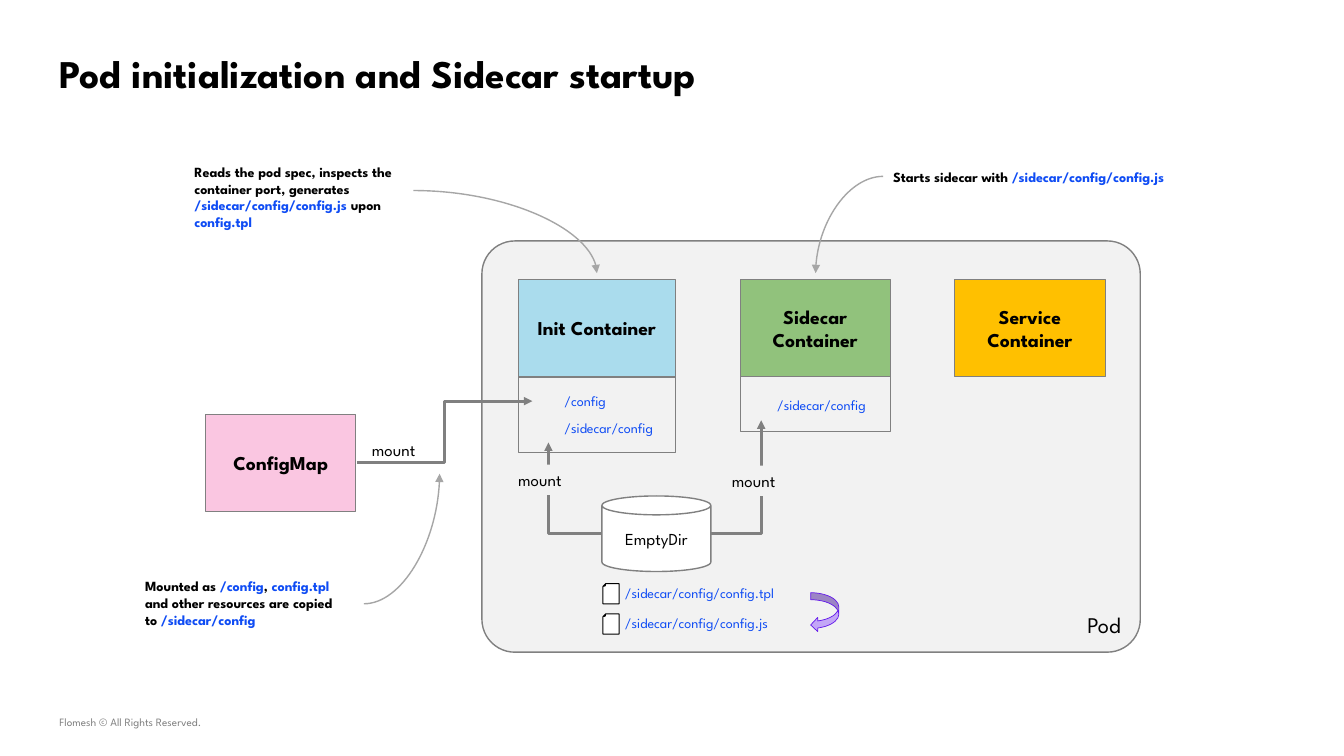
import pptx
import pptx.util
import pptx.dml.color
import pptx.enum.shapes
import pptx.enum.text
import pptx.oxml
import pptx.oxml.ns

RGBColor = pptx.dml.color.RGBColor
PRESET = pptx.enum.shapes.MSO_SHAPE
ELBOW = pptx.enum.shapes.MSO_CONNECTOR.ELBOW
CURVE = pptx.enum.shapes.MSO_CONNECTOR.CURVE
ALIGN = pptx.enum.text.PP_ALIGN
ANCHOR = pptx.enum.text.MSO_ANCHOR
Inches = pptx.util.Inches

FONT = "League Spartan"
BLACK = RGBColor(0x00, 0x00, 0x00)
WHITE = RGBColor(0xFF, 0xFF, 0xFF)
GRAY = RGBColor(0x80, 0x80, 0x80)
SILVER = RGBColor(0xA6, 0xA6, 0xA6)
PANEL = RGBColor(0xF2, 0xF2, 0xF2)
BLUE = RGBColor(0x0F, 0x4C, 0xF4)
AMBER = RGBColor(0xFF, 0xC0, 0x00)
GREEN = RGBColor(0x91, 0xC2, 0x7C)
SKY = RGBColor(0xAA, 0xDC, 0xED)
PINK = RGBColor(0xFA, 0xC6, 0xE1)
LILAC = RGBColor(0xC3, 0xA6, 0xF7)
VIOLET = RGBColor(0x65, 0x1B, 0xEB)

SLIDE_W, SLIDE_H = 13.33, 7.5
MARGIN = 0.49
INIT_X, SIDECAR_X, SERVICE_X, CONFIGMAP_X = 5.14, 7.34, 9.47, 2.04
INIT_W, BOX_W, BOX_H = 1.56, 1.49, 0.97
BOX_Y, CONFIGMAP_Y = 2.77, 4.11
MOUNTS_Y = BOX_Y + BOX_H
LINE_H, MOUNT_H = 0.27, 0.3
STORE_X, STORE_Y, STORE_W, STORE_H = 5.97, 4.92, 1.08, 0.75
STORE_EXIT_Y = 5.29
FILE_Y, FILE_STEP = 5.75, 0.3

TITLE = "Pod initialization and Sidecar startup"
FOOTER = "Flomesh © All Rights Reserved."

CONTAINERS = [
    ("Service Container", SERVICE_X, BOX_Y, BOX_W, AMBER),
    ("Sidecar Container", SIDECAR_X, BOX_Y, BOX_W, GREEN),
    ("Init Container", INIT_X, BOX_Y, INIT_W, SKY),
    ("ConfigMap", CONFIGMAP_X, CONFIGMAP_Y, BOX_W, PINK),
]
MOUNT_PANELS = [(INIT_X, INIT_W, 0.75), (SIDECAR_X, BOX_W, 0.54)]
MOUNT_PATHS = [
    ("/config", 5.5, 3.84, 0.7),
    ("/sidecar/config", 5.5, 4.11, 1.26),
    ("/sidecar/config", 7.61, 3.88, 1.26),
]
FILES = [("/sidecar/config/config.tpl", 1.97), ("/sidecar/config/config.js", 1.88)]
CALLOUTS = [
    ((1.34, 5.68, 2.26, 0.61),
     [("Mounted as ", BLACK), ("/config", BLUE), (", ", BLACK), ("config.tpl ", BLUE),
      ("and other resources are copied to ", BLACK), ("/sidecar/config", BLUE)]),
    ((1.83, 1.57, 2.26, 0.77),
     [("Reads the pod spec, inspects the container port, generates ", BLACK),
      ("/sidecar/config/config.js ", BLUE), ("upon ", BLACK), ("config.tpl", BLUE)]),
    ((8.76, 1.62, 3.23, LINE_H),
     [("Starts sidecar with ", BLACK), ("/sidecar/config/config.js", BLUE)]),
]
MOUNT_ARROWS = [
    ((3.54, 4.59), (5.28, 3.98), "bentConnector3"),
    ((STORE_X, STORE_EXIT_Y), (5.44, 4.39), "bentConnector2"),
    ((STORE_X + STORE_W, STORE_EXIT_Y), (7.55, 4.17), "bentConnector2"),
]
CALLOUT_ARROWS = [
    ((3.61, 5.99), (4.36, 4.7)),
    ((4.1, 1.89), (5.92, 2.71)),
    ((8.76, 1.75), (8.09, 2.71)),
]
MOUNT_LABELS = [(3.59, 4.31, 0.73, None), (5.04, 4.61, 0.73, PANEL), (7.16, 4.62, 0.75, PANEL)]

deck = pptx.Presentation()
deck.slide_width, deck.slide_height = Inches(SLIDE_W), Inches(SLIDE_H)
slide = deck.slides.add_slide(deck.slide_layouts[6])


def write(holder, pieces, size, bold=False, align=ALIGN.LEFT, anchor=ANCHOR.TOP, wrap=True):
    frame = holder.text_frame
    frame.word_wrap = wrap
    frame.vertical_anchor = anchor
    paragraph = frame.paragraphs[0]
    paragraph.alignment = align
    for words, color in pieces:
        run = paragraph.add_run()
        run.text = words
        run.font.name = FONT
        run.font.size = pptx.util.Pt(size)
        run.font.bold = bold
        run.font.color.rgb = color


def label(words, box, size, color, **style):
    holder = slide.shapes.add_textbox(*map(Inches, box))
    write(holder, [(words, color)], size, **style)
    return holder


def block(preset, box, fill=None, line=None, weight=0.75):
    shape = slide.shapes.add_shape(preset, *map(Inches, box))
    shape.shadow.inherit = False
    if fill is None:
        shape.fill.background()
    else:
        shape.fill.solid()
        shape.fill.fore_color.rgb = fill
    if line is None:
        shape.line.fill.background()
    else:
        shape.line.color.rgb = line
        shape.line.width = pptx.util.Pt(weight)
    return shape


def arrow(kind, start, end, geometry, color, weight):
    link = slide.shapes.add_connector(kind, *map(Inches, start + end))
    link.line.color.rgb = color
    link.line.width = pptx.util.Pt(weight)
    properties = link._element.spPr
    properties.find(pptx.oxml.ns.qn("a:prstGeom")).set("prst", geometry)
    head = pptx.oxml.parse_xml(f'<a:tailEnd {pptx.oxml.ns.nsdecls("a")} type="triangle"/>')
    link.line._get_or_add_ln().append(head)
    properties.append(pptx.oxml.parse_xml(f'<a:effectLst {pptx.oxml.ns.nsdecls("a")}/>'))


label(FOOTER, (MARGIN, 7, 2.41, 0.33), 8, GRAY, anchor=ANCHOR.MIDDLE)
label(TITLE, (MARGIN, 0.34, 9.58, 0.77), 28, BLACK, bold=True, anchor=ANCHOR.MIDDLE)

pod = block(PRESET.ROUNDED_RECTANGLE, (4.78, 2.39, 6.53, 4.08), PANEL, GRAY, 1)
pod.adjustments[0] = 0.08
write(pod, [("Pod", BLACK)], 16, align=ALIGN.RIGHT, anchor=ANCHOR.BOTTOM)

for name, x, y, width, fill in CONTAINERS:
    container = block(PRESET.RECTANGLE, (x, y, width, BOX_H), fill, GRAY)
    write(container, [(name, BLACK)], 14, bold=True, align=ALIGN.CENTER, anchor=ANCHOR.MIDDLE)

store = block(PRESET.CAN, (STORE_X, STORE_Y, STORE_W, STORE_H), WHITE, GRAY, 1)
write(store, [("EmptyDir", BLACK)], 12, align=ALIGN.CENTER, anchor=ANCHOR.MIDDLE)

for x, width, height in MOUNT_PANELS:
    block(PRESET.RECTANGLE, (x, MOUNTS_Y, width, height), line=GRAY)
for words, x, y, width in MOUNT_PATHS:
    label(words, (x, y, width, LINE_H), 10, BLUE, wrap=False)

for box, pieces in CALLOUTS:
    write(block(PRESET.RECTANGLE, box, WHITE), pieces, 10, bold=True)

for start, end, geometry in MOUNT_ARROWS:
    arrow(ELBOW, start, end, geometry, GRAY, 2)
for start, end in CALLOUT_ARROWS:
    arrow(CURVE, start, end, "curvedConnector2", SILVER, 1)

for x, y, width, fill in MOUNT_LABELS:
    mount = label("mount", (x, y, width, MOUNT_H), 12, BLACK, wrap=False)
    if fill is not None:
        mount.fill.solid()
        mount.fill.fore_color.rgb = fill

for row, (words, width) in enumerate(FILES):
    top = FILE_Y + row * FILE_STEP
    page = block(PRESET.FOLDED_CORNER, (5.98, top + 0.04, 0.16, 0.2), WHITE, BLACK)
    page.rotation = 180
    label(words, (6.1, top, width, LINE_H), 10, BLUE, wrap=False)

block(PRESET.CURVED_LEFT_ARROW, (8.04, 5.88, 0.28, 0.39), LILAC, VIOLET, 0.5)

deck.save("out.pptx")
